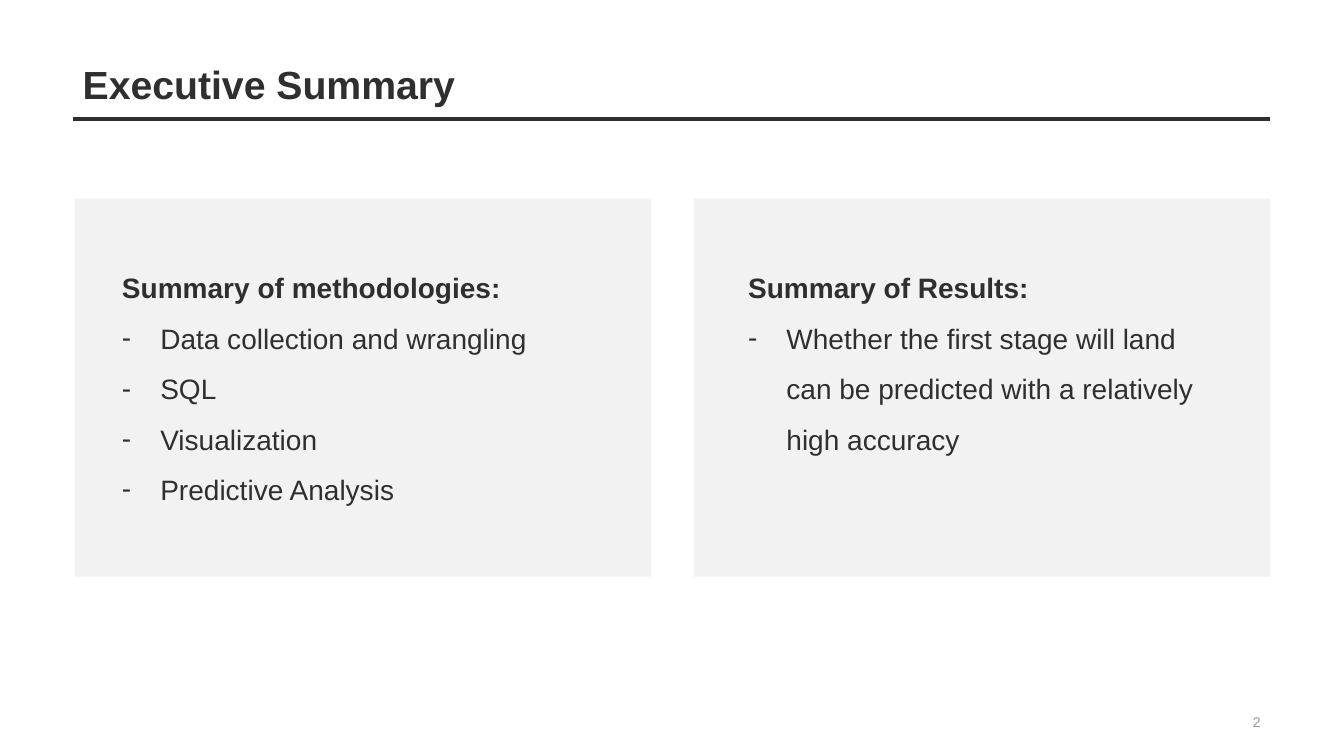
from lxml import etree
from pptx import Presentation
from pptx.dml.color import RGBColor
from pptx.enum.shapes import MSO_CONNECTOR, MSO_SHAPE
from pptx.enum.text import MSO_ANCHOR, MSO_AUTO_SIZE, PP_ALIGN
from pptx.oxml.ns import qn
from pptx.util import Inches, Pt

TITLE = "Executive Summary"
PAGE_NUMBER = "2"
PANELS = [
    {
        "heading": "Summary of methodologies:",
        "items": [
            "Data collection and wrangling",
            "SQL",
            "Visualization",
            "Predictive Analysis",
        ],
        "text_left": 1.11,
        "text_height": 2.56,
    },
    {
        "heading": "Summary of Results:",
        "items": [
            "Whether the first stage will land can be predicted "
            "with a relatively high accuracy",
        ],
        "text_left": 7.32,
        "text_height": 2.06,
    },
]

COLORS = {"ink": "2F2F2F", "panel": "F2F2F2", "number": "979797"}
FONT = "Arial"
TWO_CONTENT_LAYOUT = 3
LEFT, RIGHT = 0.72, 12.6
RULE_TOP = 1.18
PANEL_LEFT, PANEL_TOP = 0.74, 1.97
PANEL_WIDTH, PANEL_HEIGHT = 5.72, 3.75
PANEL_STEP = RIGHT - PANEL_WIDTH - PANEL_LEFT
TEXT_TOP, TEXT_WIDTH = 2.47, 4.65
INDENT = 0.38


def color(name):
    return RGBColor.from_string(COLORS[name])


def place(shape, left, top, width, height):
    shape.left, shape.top = Inches(left), Inches(top)
    shape.width, shape.height = Inches(width), Inches(height)


def style(paragraph, size, color_name, bold=False):
    paragraph.font.name = FONT
    paragraph.font.size = Pt(size)
    paragraph.font.bold = bold
    paragraph.font.color.rgb = color(color_name)


def set_bullet(paragraph, character=None):
    properties = paragraph._p.get_or_add_pPr()
    indent = Inches(INDENT) if character else 0
    properties.set("marL", str(indent))
    properties.set("indent", str(-indent))
    if character:
        etree.SubElement(properties, qn("a:buFont")).set("typeface", FONT)
        etree.SubElement(properties, qn("a:buChar")).set("char", character)
    else:
        etree.SubElement(properties, qn("a:buNone"))


def add_title(slide):
    title = slide.shapes.title
    place(title, LEFT, 0, RIGHT - LEFT, 1.12)
    frame = title.text_frame
    frame.text = TITLE
    frame.vertical_anchor = MSO_ANCHOR.BOTTOM
    frame.auto_size = MSO_AUTO_SIZE.NONE
    paragraph = frame.paragraphs[0]
    paragraph.alignment = PP_ALIGN.LEFT
    paragraph.line_spacing = 0.9
    style(paragraph, 28, "ink", bold=True)


def add_rule(slide):
    rule = slide.shapes.add_connector(
        MSO_CONNECTOR.STRAIGHT,
        Inches(LEFT), Inches(RULE_TOP), Inches(RIGHT), Inches(RULE_TOP),
    )
    rule.line.color.rgb = color("ink")
    rule.line.width = Pt(3)
    etree.SubElement(rule._element.spPr, qn("a:effectLst"))


def add_panel(slide, index, panel):
    body = slide.placeholders[index + 1]
    card = slide.shapes.add_shape(
        MSO_SHAPE.RECTANGLE,
        Inches(PANEL_LEFT + index * PANEL_STEP), Inches(PANEL_TOP),
        Inches(PANEL_WIDTH), Inches(PANEL_HEIGHT),
    )
    card.shadow.inherit = False
    card.fill.solid()
    card.fill.fore_color.rgb = color("panel")
    card.line.fill.background()
    body._element.addprevious(card._element)

    place(body, panel["text_left"], TEXT_TOP, TEXT_WIDTH, panel["text_height"])
    frame = body.text_frame
    frame.text = "\n".join([panel["heading"], *panel["items"]])
    frame.word_wrap = True
    frame.auto_size = MSO_AUTO_SIZE.NONE
    for position, paragraph in enumerate(frame.paragraphs):
        paragraph.line_spacing = 1.5
        paragraph.space_before = Pt(0)
        set_bullet(paragraph, "-" if position else None)
        style(paragraph, 20, "ink", bold=position == 0)


def add_page_number(slide):
    box = slide.shapes.add_textbox(
        Inches(9.69), Inches(7.04), Inches(2.91), Inches(0.24)
    )
    frame = box.text_frame
    frame.text = PAGE_NUMBER
    frame.word_wrap = True
    frame.vertical_anchor = MSO_ANCHOR.MIDDLE
    paragraph = frame.paragraphs[0]
    paragraph.alignment = PP_ALIGN.RIGHT
    style(paragraph, 10, "number")


def main():
    presentation = Presentation()
    presentation.slide_width = Inches(13.33)
    presentation.slide_height = Inches(7.5)
    layout = presentation.slide_layouts[TWO_CONTENT_LAYOUT]
    slide = presentation.slides.add_slide(layout)
    add_title(slide)
    add_rule(slide)
    for index, panel in enumerate(PANELS):
        add_panel(slide, index, panel)
    add_page_number(slide)
    presentation.save("out.pptx")


if __name__ == "__main__":
    main()
